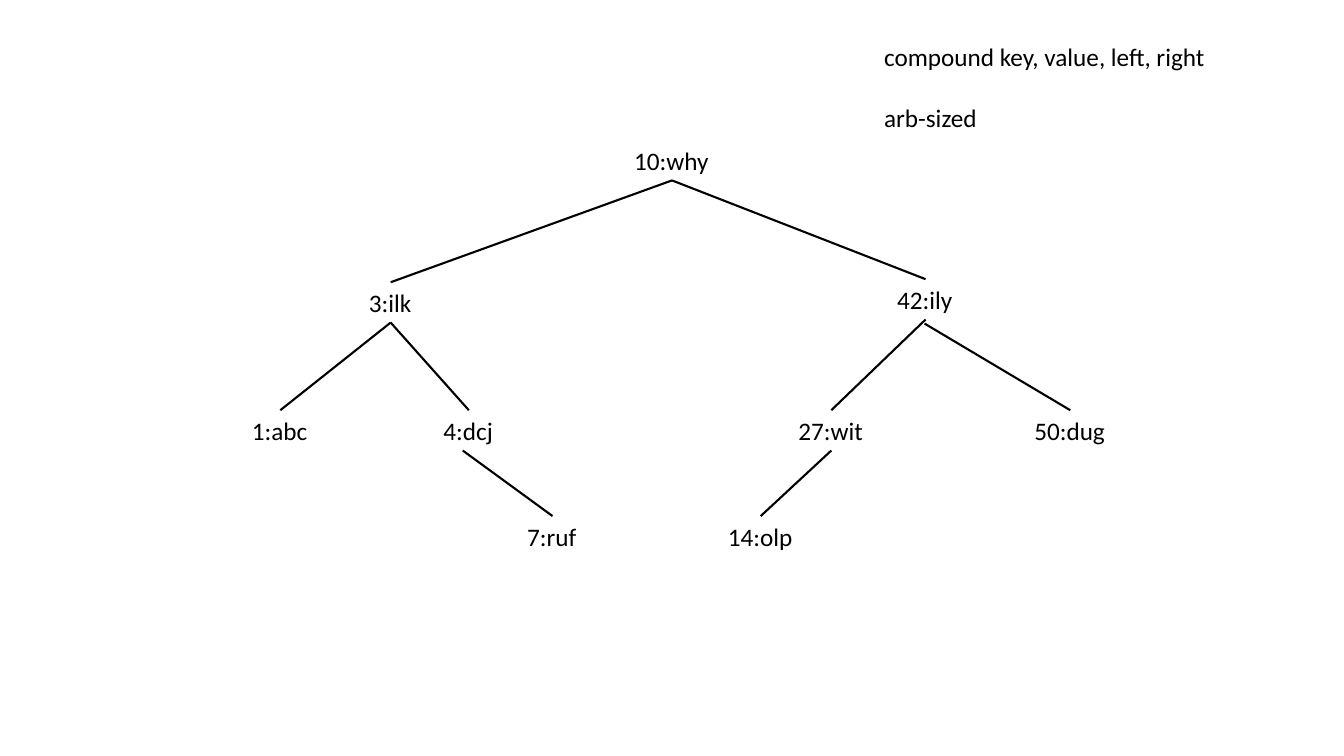
"""Build a slide showing a binary search tree of key:value nodes."""
from lxml.etree import SubElement
from pptx import Presentation
from pptx.dml.color import RGBColor
from pptx.enum.shapes import MSO_CONNECTOR
from pptx.enum.text import MSO_AUTO_SIZE
from pptx.oxml.ns import qn
from pptx.util import Pt

PX = 9144
BLACK = RGBColor(0, 0, 0)
FONT = {"name": "Calibri", "size": Pt(18)}
NODE_HEIGHT = 40
BOTTOM, TOP = 2, 0

NODES = {
    "10:why": (619, 139, 95),
    "3:ilk": (356, 280, 63),
    "1:abc": (240, 407, 76),
    "4:dcj": (430, 407, 70),
    "7:ruf": (513, 512, 70),
    "42:ily": (880, 277, 76),
    "27:wit": (782, 407, 85),
    "50:dug": (1016, 407, 91),
    "14:olp": (712, 512, 85),
}
BRANCHES = [
    ("10:why", "3:ilk"),
    ("10:why", "42:ily"),
    ("3:ilk", "1:abc"),
    ("3:ilk", "4:dcj"),
    ("4:dcj", "7:ruf"),
    ("42:ily", "27:wit"),
    ("42:ily", "50:dug"),
    ("27:wit", "14:olp"),
]
FREE_STARTS = {"7:ruf": (459, 447), "50:dug": (917, 321)}


def add_text(page, lines, left, top, width, height, wrap=False, gap=0):
    """Add a text box with one paragraph per line."""
    box = page.shapes.add_textbox(left * PX, top * PX, width * PX, height * PX)
    frame = box.text_frame
    frame.word_wrap = wrap
    frame.auto_size = MSO_AUTO_SIZE.SHAPE_TO_FIT_TEXT
    for index, line in enumerate(lines):
        para = frame.paragraphs[0] if index == 0 else frame.add_paragraph()
        if index:
            para.space_before = Pt(gap)
        span = para.add_run()
        span.text = line
        for key, value in FONT.items():
            setattr(span.font, key, value)
        span.font.color.rgb = BLACK
    return box


def add_branch(page, parent, child, start=None):
    """Draw a line from a parent, or a free start point, to a child."""
    left, top = start or (0, 0)
    branch = page.shapes.add_connector(
        MSO_CONNECTOR.STRAIGHT, left * PX, top * PX, left * PX, top * PX)
    if start is None:
        branch.begin_connect(parent, BOTTOM)
    branch.end_connect(child, TOP)
    branch.line.color.rgb = BLACK
    branch.line.width = Pt(1.5)
    SubElement(branch._element.spPr, qn("a:effectLst"))


def main():
    """Build and save the deck."""
    deck = Presentation()
    deck.slide_width, deck.slide_height = 1333 * PX, 750 * PX
    page = deck.slides.add_slide(deck.slide_layouts[6])
    boxes = {
        label: add_text(page, [label], left, top, width, NODE_HEIGHT)
        for label, (left, top, width) in NODES.items()
    }
    for parent, child in BRANCHES:
        add_branch(page, boxes[parent], boxes[child], FREE_STARTS.get(child))
    add_text(page, ["compound key, value, left, right", "arb-sized"],
             867, 36, 435, 101, wrap=True, gap=22)
    deck.save("out.pptx")


if __name__ == "__main__":
    main()
